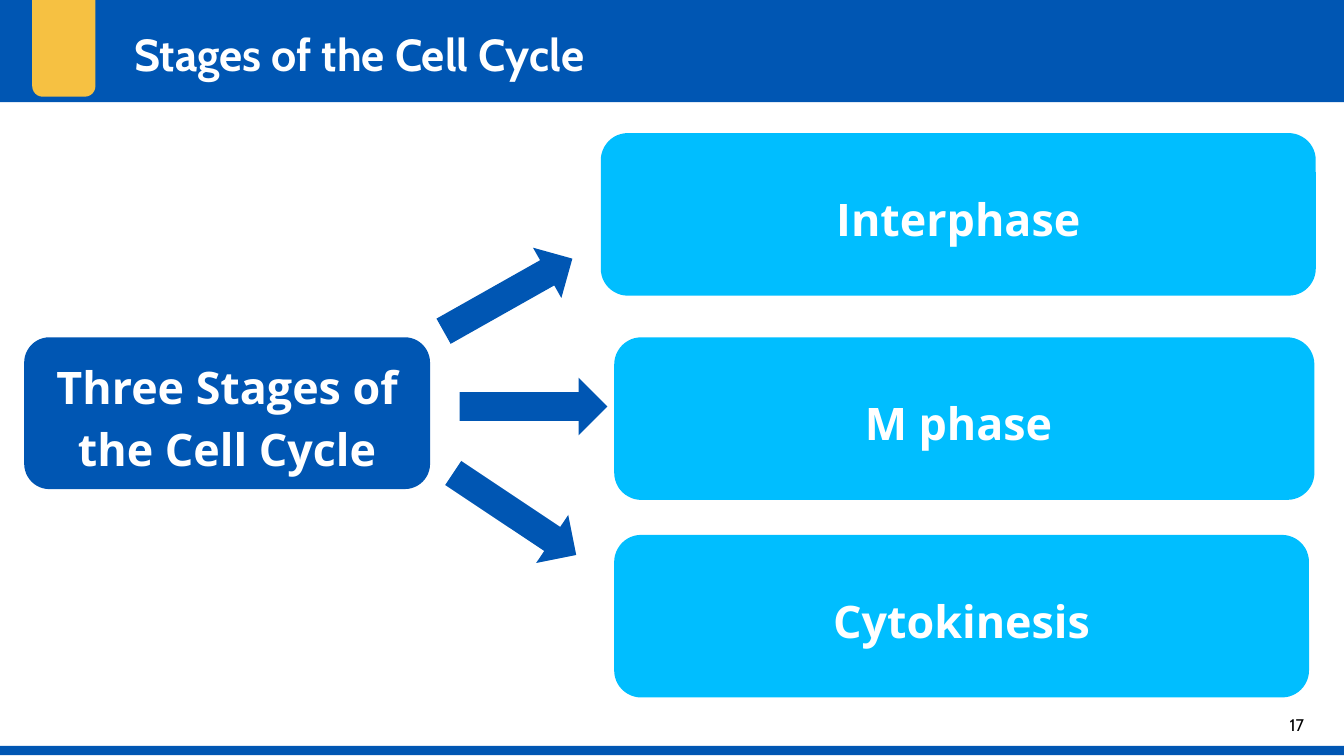
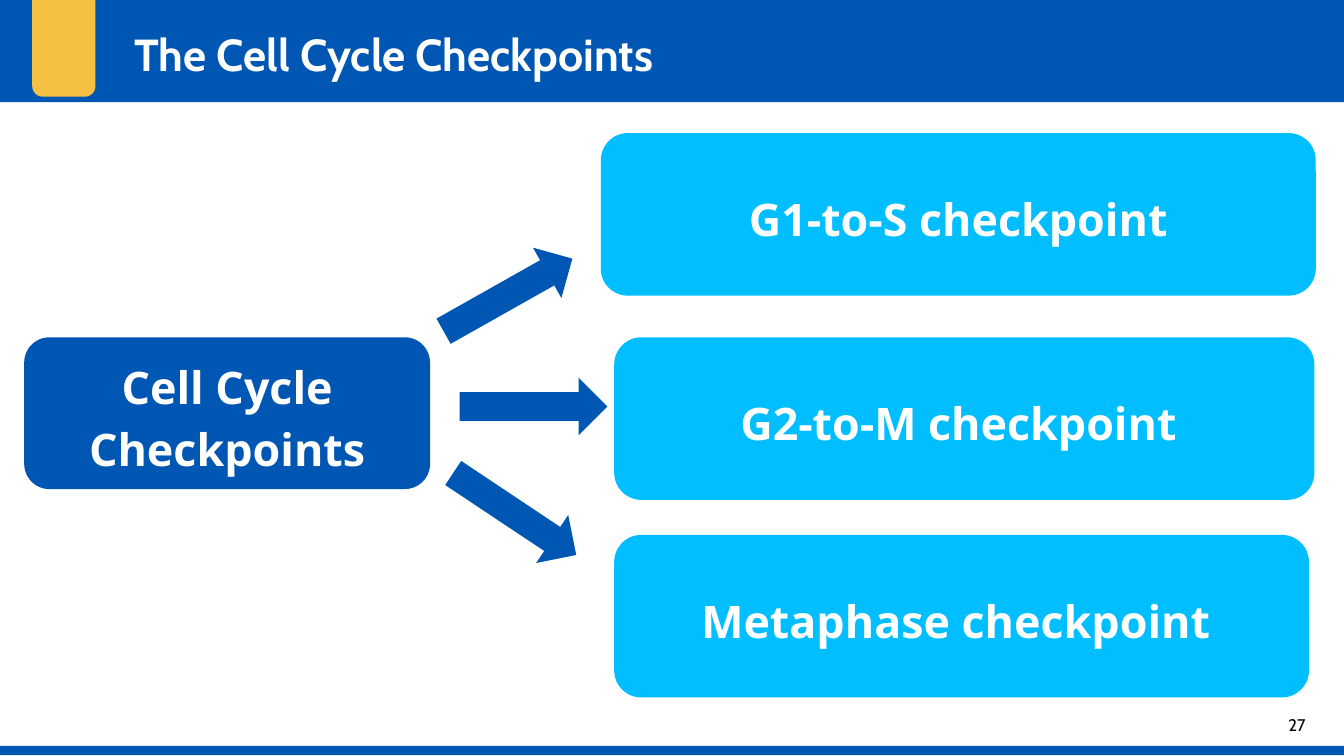
from pptx import Presentation
from pptx.dml.color import RGBColor
from pptx.enum.shapes import MSO_SHAPE
from pptx.enum.text import MSO_ANCHOR, PP_ALIGN
from pptx.util import Inches, Pt

RECTANGLE = MSO_SHAPE.RECTANGLE
ROUNDED = MSO_SHAPE.ROUNDED_RECTANGLE
ARROW = MSO_SHAPE.RIGHT_ARROW
TOP, MIDDLE = MSO_ANCHOR.TOP, MSO_ANCHOR.MIDDLE
LEFT, CENTER = PP_ALIGN.LEFT, PP_ALIGN.CENTER

SLIDE_WIDTH = Inches(10)
SLIDE_HEIGHT = SLIDE_WIDTH * 9 // 16

COLORS = {
    "blue": "0056B3",
    "sky": "00BEFF",
    "gold": "F6C142",
    "white": "FFFFFF",
    "black": "000000",
}
TITLE_FONT = {"name": "Cabin", "size": Pt(24), "bold": True}
NUMBER_FONT = {"name": "Cabin", "size": Pt(9), "bold": False}
BOX_FONT = {"name": "Open Sans", "size": Pt(24), "bold": True}

TOPIC_BOX = (0.18, 2.51, 3.02, 1.13)
BRANCH_BOXES = [
    (4.47, 0.99, 5.32, 1.21),
    (4.57, 2.51, 5.21, 1.21),
    (4.57, 3.98, 5.17, 1.21),
]
ARROWS = [(3.23, 1.98, 330.6), (3.42, 2.81, 0), (3.28, 3.61, 33.7)]
ARROW_SIZE = (1.1, 0.43)

SLIDES = [
    {
        "title": "Stages of the Cell Cycle",
        "number": "17",
        "topic": "Three Stages of the Cell Cycle",
        "branches": ["Interphase", "M phase ", "Cytokinesis"],
    },
    {
        "title": "The Cell Cycle Checkpoints",
        "number": "27",
        "topic": "Cell Cycle Checkpoints",
        "branches": ["G1-to-S checkpoint", "G2-to-M checkpoint ", "Metaphase checkpoint "],
    },
]


def color(name):
    """Return the named palette colour."""
    return RGBColor.from_string(COLORS[name])


def inches(values):
    """Convert a sequence of numbers to lengths."""
    return [Inches(value) for value in values]


def write_text(shape, text, font, color_name, align=CENTER, anchor=MIDDLE, spacing=1.0):
    """Put one formatted paragraph into a shape."""
    frame = shape.text_frame
    frame_format = {"word_wrap": True, "vertical_anchor": anchor}
    for side in ("left", "top", "right", "bottom"):
        frame_format[f"margin_{side}"] = Inches(0.1)
    for name, value in frame_format.items():
        setattr(frame, name, value)
    paragraph = frame.paragraphs[0]
    paragraph.alignment = align
    paragraph.line_spacing = spacing
    run = paragraph.add_run()
    run.text = text
    for name, value in font.items():
        setattr(run.font, name, value)
    run.font.color.rgb = color(color_name)


def add_block(slide, kind, box, fill):
    """Add a flat filled shape without outline."""
    shape = slide.shapes.add_shape(kind, *inches(box))
    shape.shadow.inherit = False
    shape.fill.solid()
    shape.fill.fore_color.rgb = color(fill)
    shape.line.fill.background()
    return shape


def add_label(slide, box, text, font, color_name, align, anchor):
    """Add a text box."""
    shape = slide.shapes.add_textbox(*inches(box))
    write_text(shape, text, font, color_name, align, anchor)


def add_box(slide, box, text, fill):
    """Add a rounded box with bold white text."""
    shape = add_block(slide, ROUNDED, box, fill)
    write_text(shape, text, BOX_FONT, "white", spacing=1.15)


def add_arrow(slide, left, top, rotation):
    """Add a block arrow turned by the given degrees."""
    shape = add_block(slide, ARROW, (left, top, *ARROW_SIZE), "blue")
    shape.rotation = rotation


def add_frame(slide, title, number):
    """Add the bands, the tab, the title and the slide number."""
    add_block(slide, RECTANGLE, (-0.01, -0.01, 10.01, 0.77), "blue")
    add_block(slide, ROUNDED, (0.24, -0.12, 0.47, 0.84), "gold")
    add_block(slide, RECTANGLE, (-0.01, 5.55, 10.01, 0.07), "blue")
    add_label(slide, (9.35, 5.18, 0.6, 0.43), number, NUMBER_FONT, "black", CENTER, MIDDLE)
    add_label(slide, (0.9, 0.1, 7.22, 0.57), title, TITLE_FONT, "white", LEFT, TOP)


def add_branch_slide(presentation, title, number, topic, branches):
    """Add a slide with one topic leading to three branches."""
    slide = presentation.slides.add_slide(presentation.slide_layouts[6])
    add_frame(slide, title, number)
    add_box(slide, TOPIC_BOX, topic, "blue")
    for box, text in zip(BRANCH_BOXES, branches):
        add_box(slide, box, text, "sky")
    for arrow in ARROWS:
        add_arrow(slide, *arrow)


def main():
    """Build and save the presentation."""
    presentation = Presentation()
    presentation.slide_width = SLIDE_WIDTH
    presentation.slide_height = SLIDE_HEIGHT
    for content in SLIDES:
        add_branch_slide(presentation, **content)
    presentation.save("out.pptx")


if __name__ == "__main__":
    main()
